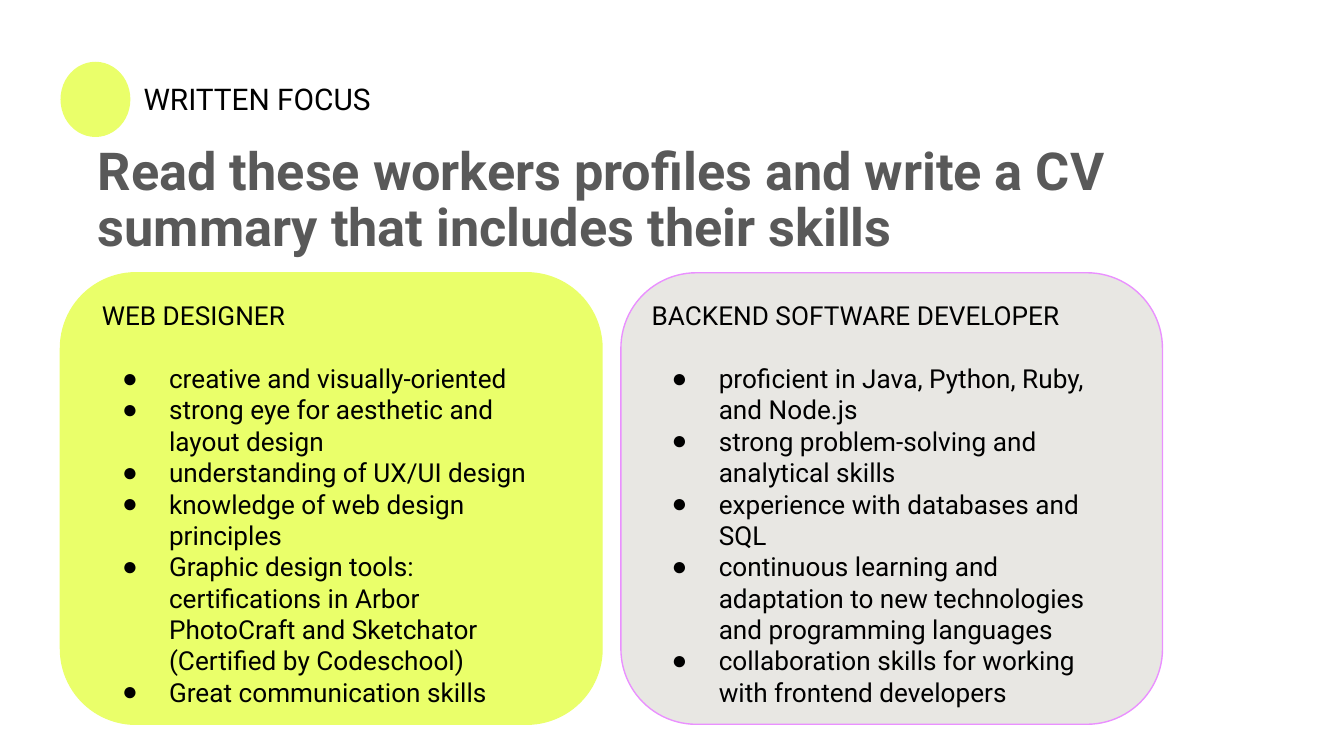
from lxml.etree import SubElement
from pptx import Presentation
from pptx.dml.color import RGBColor
from pptx.enum.shapes import MSO_SHAPE
from pptx.oxml.ns import qn
from pptx.util import Inches, Pt

FONT, BULLET_FONT = "Roboto", "Arial"
BLACK, GRAY, LIME, STONE, PINK = "000000", "595959", "EAFF6A", "E8E7E3", "EA90FF"
PROFILES = [
    {
        "job": "WEB DESIGNER",
        "left": 0.45, "fill": LIME, "line": LIME, "text_inset": 0.21, "text_width": 3.47,
        "skills": [
            "creative and visually-oriented",
            "strong eye for aesthetic and layout design",
            "understanding of UX/UI design",
            "knowledge of web design principles",
            "Graphic design tools: certifications in Arbor PhotoCraft and Sketchator "
            "(Certified by Codeschool)",
            "Great communication skills",
        ],
    },
    {
        "job": "BACKEND SOFTWARE DEVELOPER",
        "left": 4.62, "fill": STONE, "line": PINK, "text_inset": 0.13, "text_width": 3.7,
        "skills": [
            "proficient in Java, Python, Ruby, and Node.js",
            "strong problem-solving and analytical skills",
            "experience with databases and SQL",
            "continuous learning and adaptation to new technologies and programming languages",
            "collaboration skills for working with frontend developers",
        ],
    },
]


def color(value):
    """Turn a hex string into a colour."""
    return RGBColor.from_string(value)


def apply_format(target, values):
    """Set each attribute of the target from a dict."""
    for name, value in values.items():
        setattr(target, name, value)


def add_panel(slide, preset, box, fill, line=None):
    """Place a filled shape in the box, outlined when a line colour is given."""
    panel = slide.shapes.add_shape(preset, *map(Inches, box))
    panel.shadow.inherit = False
    panel.fill.solid()
    panel.fill.fore_color.rgb = color(fill)
    if line:
        panel.line.color.rgb = color(line)
        panel.line.width = Pt(0.75)
    else:
        panel.line.fill.background()
    return panel


def add_text_frame(slide, box):
    """Place a wrapping text box with equal insets and return its frame."""
    frame = slide.shapes.add_textbox(*map(Inches, box)).text_frame
    sides = ("left", "top", "right", "bottom")
    apply_format(frame, {"word_wrap": True} | {f"margin_{side}": Inches(0.1) for side in sides})
    return frame


def write(paragraph, text, size, text_color=BLACK, bold=False):
    """Fill a paragraph with one formatted run."""
    run = paragraph.add_run()
    run.text = text
    apply_format(run.font, {"name": FONT, "size": Pt(size), "bold": bold})
    run.font.color.rgb = color(text_color)


def add_bullet(paragraph):
    """Give a paragraph a hanging black bullet."""
    properties = paragraph._p.get_or_add_pPr()
    properties.set("marL", str(Inches(0.5)))
    properties.set("indent", str(Inches(-0.35)))
    bullet_color = SubElement(properties, qn("a:buClr"))
    SubElement(bullet_color, qn("a:srgbClr"), val=BLACK)
    SubElement(properties, qn("a:buFont"), typeface=BULLET_FONT)
    SubElement(properties, qn("a:buChar"), char="●")


def add_header(slide, left, top):
    """Place the section marker, its label and the task title."""
    add_panel(slide, MSO_SHAPE.OVAL, (left, top, 0.52, 0.56), LIME)
    label = add_text_frame(slide, (left + 0.52, top + 0.04, 4.73, 0.47))
    write(label.paragraphs[0], "WRITTEN FOCUS", 16)
    title = add_text_frame(slide, (left + 0.18, top + 0.52, 8.75, 1.05)).paragraphs[0]
    title.line_spacing = 0.9
    write(title, "Read these workers profiles and write a CV summary that includes their skills",
          28, GRAY, True)


def add_profile(slide, profile, top, width, height):
    """Place one worker's card with the job and the list of skills."""
    left = profile["left"]
    card = add_panel(slide, MSO_SHAPE.ROUNDED_RECTANGLE, (left, top, width, height),
                     profile["fill"], profile["line"])
    card.adjustments[0] = 0.167
    frame = add_text_frame(
        slide, (left + profile["text_inset"], top + 0.1, profile["text_width"], 3.27))
    job = frame.paragraphs[0]
    job.space_after = Pt(16.8)
    write(job, profile["job"], 14)
    for skill in profile["skills"]:
        paragraph = frame.add_paragraph()
        add_bullet(paragraph)
        write(paragraph, skill, 14)


def main():
    """Build the slide and save it."""
    presentation = Presentation()
    apply_format(presentation, {"slide_width": Inches(10), "slide_height": Inches(10 * 9 / 16)})
    slide = presentation.slides.add_slide(presentation.slide_layouts[6])
    add_header(slide, 0.45, 0.46)
    for profile in PROFILES:
        add_profile(slide, profile, 2.03, 4.03, 3.36)
    presentation.save("out.pptx")


if __name__ == "__main__":
    main()
